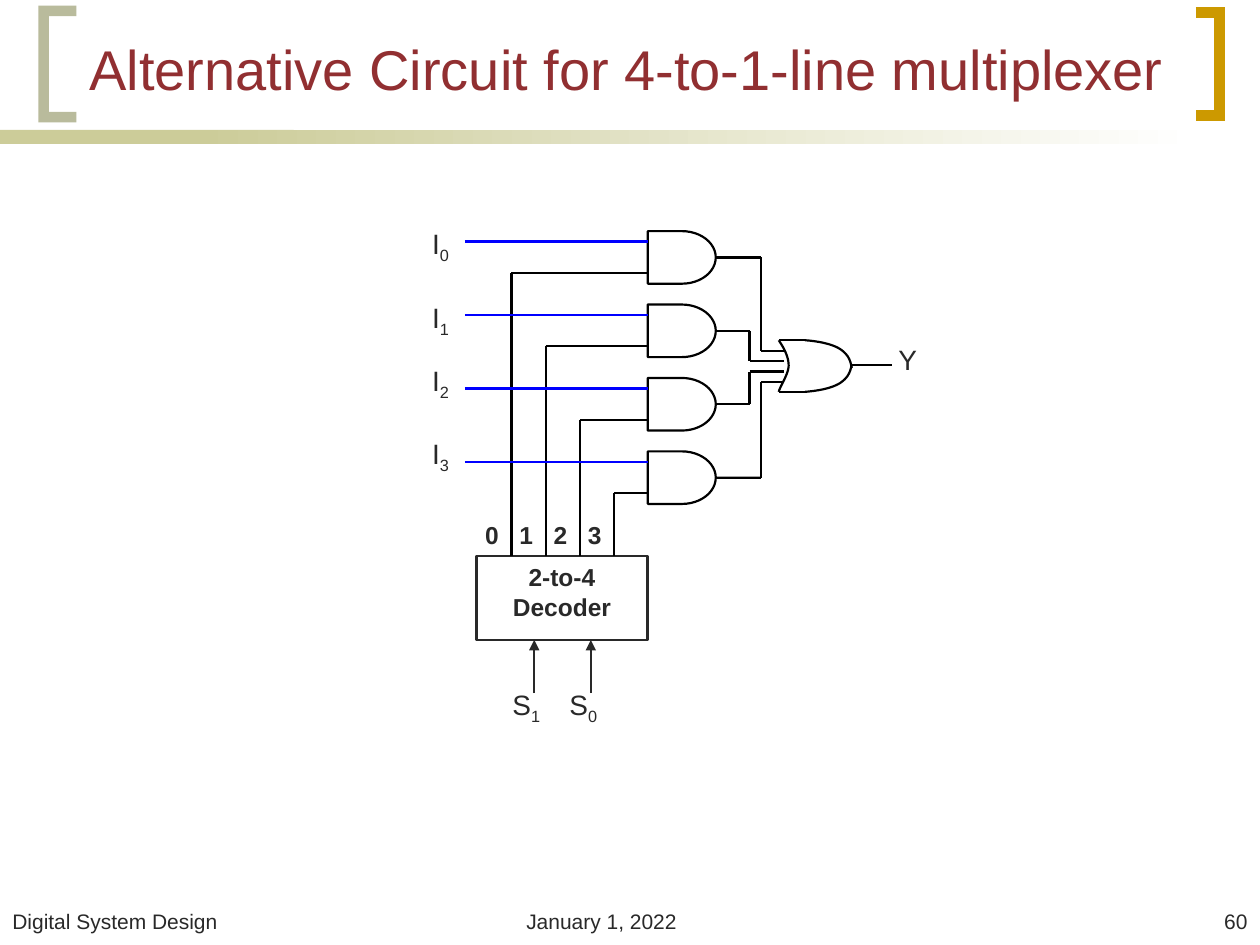
from lxml.etree import SubElement
from pptx import Presentation
from pptx.dml.color import RGBColor
from pptx.enum.shapes import MSO_CONNECTOR, MSO_SHAPE
from pptx.enum.text import MSO_ANCHOR, MSO_AUTO_SIZE, PP_ALIGN
from pptx.oxml.ns import qn
from pptx.util import Cm, Pt

BLACK = RGBColor(0x00, 0x00, 0x00)
BLUE = RGBColor(0x00, 0x00, 0xFF)
TEXT = RGBColor(0x29, 0x29, 0x29)
TITLE = RGBColor(0x91, 0x2F, 0x31)
SAND = RGBColor(0xCC, 0xCC, 0x99)
OLIVE = RGBColor(0x92, 0x95, 0x65)
GOLD = RGBColor(0xCC, 0x99, 0x00)
WHITE = RGBColor(0xFF, 0xFF, 0xFF)

presentation = Presentation()
presentation.slide_width, presentation.slide_height = Cm(25.4), Cm(19.05)
slide = presentation.slides.add_slide(presentation.slide_layouts[5])
shapes = slide.shapes


def add_wire(x1, y1, x2, y2, color=BLACK):
    wire = shapes.add_connector(MSO_CONNECTOR.STRAIGHT, Cm(x1), Cm(y1), Cm(x2), Cm(y2))
    wire.line.color.rgb = color
    wire.line.width = Pt(1.25)
    SubElement(wire._element.spPr, qn("a:effectLst"))
    return wire


def add_label(text, x, y, width, height, size=16, subscript="", align=PP_ALIGN.LEFT):
    box = shapes.add_textbox(Cm(x), Cm(y), Cm(width), Cm(height))
    box.text_frame.word_wrap = True
    paragraph = box.text_frame.paragraphs[0]
    paragraph.alignment = align
    paragraph.add_run().text = text
    if subscript:
        run = paragraph.add_run()
        run.text = subscript
        run._r.get_or_add_rPr().set("baseline", "-25000")
    paragraph.font.name = "Arial"
    paragraph.font.size = Pt(size)
    paragraph.font.color.rgb = TEXT
    return paragraph


# Rule below the title: solid part, then a fade to white
for left, width in [(0, 5.92), (4.01, 20.12)]:
    bar = shapes.add_shape(MSO_SHAPE.RECTANGLE, Cm(left), Cm(2.62), Cm(width), Cm(0.28))
    bar.shadow.inherit = False
    bar.line.fill.background()
    if left == 0:
        bar.fill.solid()
        bar.fill.fore_color.rgb = SAND
    else:
        bar.fill.gradient()
        bar.fill.gradient_angle = 0
        for stop, position, color in zip(bar.fill.gradient_stops, (0, 1), (SAND, WHITE)):
            stop.position = position
            stop.color.rgb = color

# Title
title = shapes.title
title.left, title.top, title.width, title.height = Cm(1.55), Cm(0.28), Cm(22.58), Cm(1.9)
title.text_frame.text = "Alternative Circuit for 4-to-1-line multiplexer"
title.text_frame.word_wrap = True
title.text_frame.auto_size = MSO_AUTO_SIZE.NONE
title.text_frame.vertical_anchor = MSO_ANCHOR.BOTTOM
paragraph = title.text_frame.paragraphs[0]
paragraph.alignment = PP_ALIGN.LEFT
paragraph.font.name = "Arial"
paragraph.font.size = Pt(32)
paragraph.font.color.rgb = TITLE

# Footer
add_label("January 1, 2022", 10.36, 18.2, 5.28, 0.84, 12)
add_label("Digital System Design", 0, 18.2, 9.1, 0.84, 12)
add_label("60", 20.12, 18.2, 5.28, 0.84, 12, align=PP_ALIGN.RIGHT)

# Decoder block
decoder = shapes.add_shape(MSO_SHAPE.RECTANGLE, Cm(9.61), Cm(11.21), Cm(3.44), Cm(1.69))
decoder.shadow.inherit = False
decoder.fill.background()
decoder.line.color.rgb = TEXT
decoder.line.width = Pt(1.5)
decoder.text_frame.word_wrap = True
decoder.text_frame.vertical_anchor = MSO_ANCHOR.TOP
decoder.text_frame.text = "2-to-4 Decoder"
paragraph = decoder.text_frame.paragraphs[0]
paragraph.alignment = PP_ALIGN.CENTER
paragraph.font.name = "Arial"
paragraph.font.size = Pt(14)
paragraph.font.bold = True
paragraph.font.color.rgb = TEXT

# Decoder output numbers, one tab stop per output line
OUTPUT_STEP = 0.69
numbers = add_label("0\t1\t2\t3", 9.53, 10.36, 3.2, 0.86, 14)
tab_list = SubElement(numbers._p.get_or_add_pPr(), qn("a:tabLst"))
numbers._p.pPr.insert(0, tab_list)
for i in range(1, 4):
    SubElement(tab_list, qn("a:tab"), pos=str(Cm(OUTPUT_STEP * i)), algn="l")
numbers.font.bold = True

# AND gates with data input, decoder input and the wire to the OR gate
GATE_LEFT, GATE_WIDTH, GATE_HEIGHT = 13.06, 1.37, 1.06
label_tops = [4.45, 5.93, 7.2, 8.68]
bend_columns = [15.34, 15.11, 15.11, 15.34]
for i, (label_top, bend) in enumerate(zip(label_tops, bend_columns)):
    top = 4.66 + 1.48 * i
    middle = top + GATE_HEIGHT / 2
    gate = shapes.add_shape(MSO_SHAPE.FLOWCHART_DELAY, Cm(GATE_LEFT), Cm(top),
                            Cm(GATE_WIDTH), Cm(GATE_HEIGHT))
    gate.shadow.inherit = False
    gate.fill.background()
    gate.line.color.rgb = BLACK
    gate.line.width = Pt(1.25)

    add_label("I", 8.46, label_top, 1.14, 1.04, subscript=str(i))
    add_wire(9.37, top + 0.21, GATE_LEFT, top + 0.21, BLUE)

    column = 10.31 + OUTPUT_STEP * i
    add_wire(column, top + 0.84, column, 11.21)
    add_wire(column, top + 0.84, GATE_LEFT, top + 0.84)

    or_input = 7.07 + 0.21 * i
    add_wire(GATE_LEFT + GATE_WIDTH, middle, bend, middle).begin_connect(gate, 3)
    add_wire(bend, middle, bend, or_input)
    add_wire(bend, or_input, 15.8, or_input)

# Select inputs
for subscript, arrow_x, label_x in [("1", 10.77, 10.08), ("0", 11.91, 11.23)]:
    arrow = add_wire(arrow_x, 13.97, arrow_x, 12.9, TEXT)
    SubElement(arrow.line._get_or_add_ln(), qn("a:tailEnd"), type="triangle")
    add_label("S", label_x, 13.74, 1.4, 1.04, subscript=subscript)

# OR gate: straight edges and output
for y in (6.86, 7.9):
    add_wire(15.7, y, 16.23, y)
add_wire(17.17, 7.35, 17.98, 7.35)
add_label("Y", 17.86, 6.78, 1.14, 0.94)

# OR gate: curved sides, each a chain of cubic Bézier segments
back = [(15.7, 6.86), (15.8, 7.01), (15.9, 7.19), (15.9, 7.37),
        (15.9, 7.54), (15.72, 7.8), (15.7, 7.9)]
upper = [(16.23, 6.86), (16.51, 6.88), (16.79, 6.94), (16.94, 7.04),
         (17.09, 7.14), (17.15, 7.26), (17.17, 7.42)]
lower = [(x, 14.76 - y) for x, y in upper]
outlines = []
for controls in (back, upper, lower):
    points = [controls[0]]
    for start in (0, 3):
        for step in range(1, 13):
            t = step / 12
            weights = ((1 - t) ** 3, 3 * t * (1 - t) ** 2, 3 * t ** 2 * (1 - t), t ** 3)
            segment = controls[start:start + 4]
            points.append(tuple(sum(w * point[axis] for w, point in zip(weights, segment))
                                for axis in (0, 1)))
    outlines.append((points, BLACK, 1.25))

# Title brackets
outlines.append(([(1.54, 2.36), (0.88, 2.36), (0.88, 0.22), (1.54, 0.22)], OLIVE, 6))
outlines.append(([(24.11, 0.25), (24.58, 0.25), (24.58, 2.33), (24.11, 2.33)], GOLD, 6))

for points, color, width in outlines:
    corners = [(Cm(x), Cm(y)) for x, y in points]
    builder = shapes.build_freeform(*corners[0])
    builder.add_line_segments(corners[1:], close=False)
    outline = builder.convert_to_shape()
    outline.shadow.inherit = False
    outline.fill.background()
    outline.line.color.rgb = color
    outline.line.width = Pt(width)
    line = outline.line._get_or_add_ln()
    SubElement(line, qn("a:miter"), lim="800000")
    if color == OLIVE:
        SubElement(line.find(".//" + qn("a:srgbClr")), qn("a:alpha"), val="63000")

presentation.save("out.pptx")
